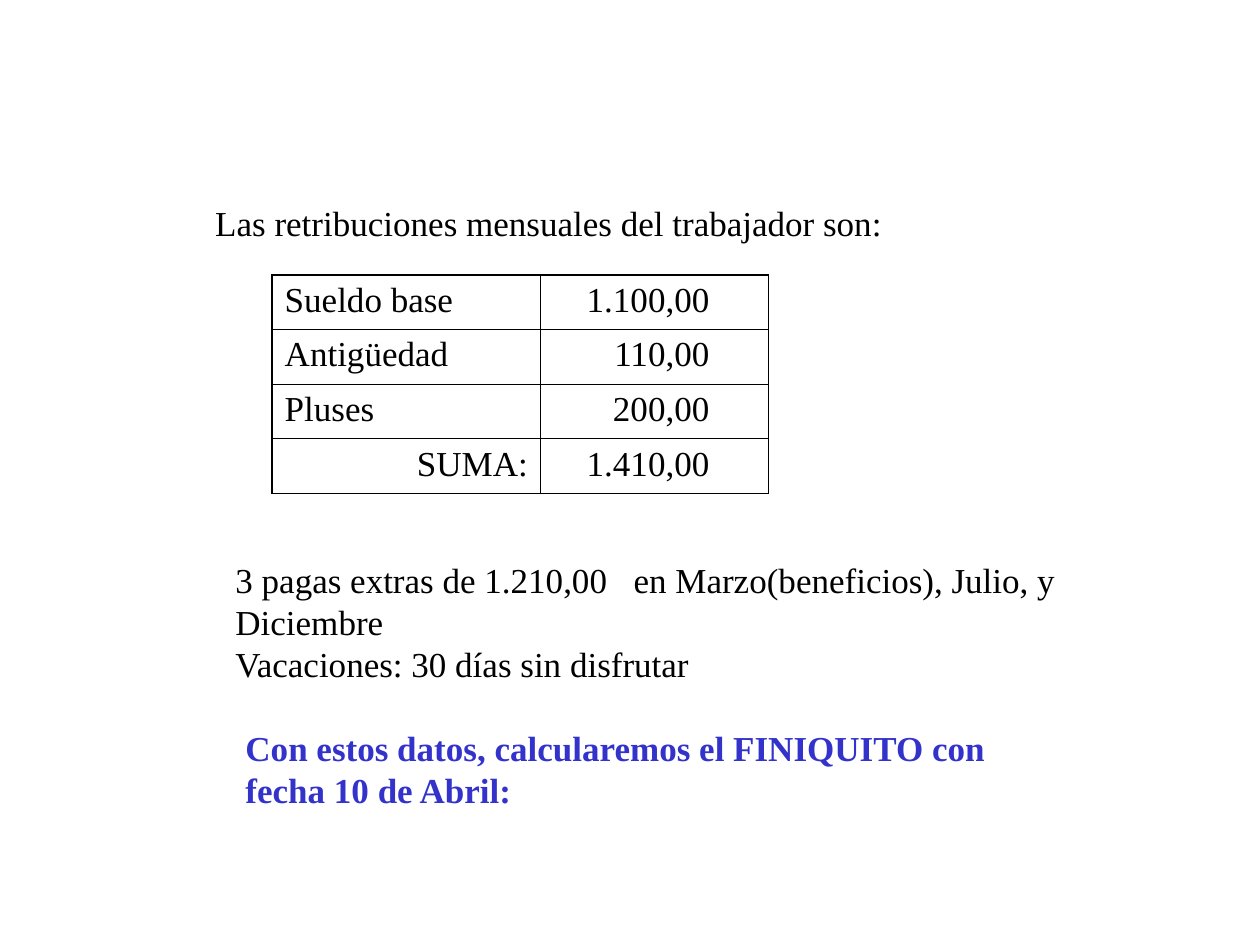
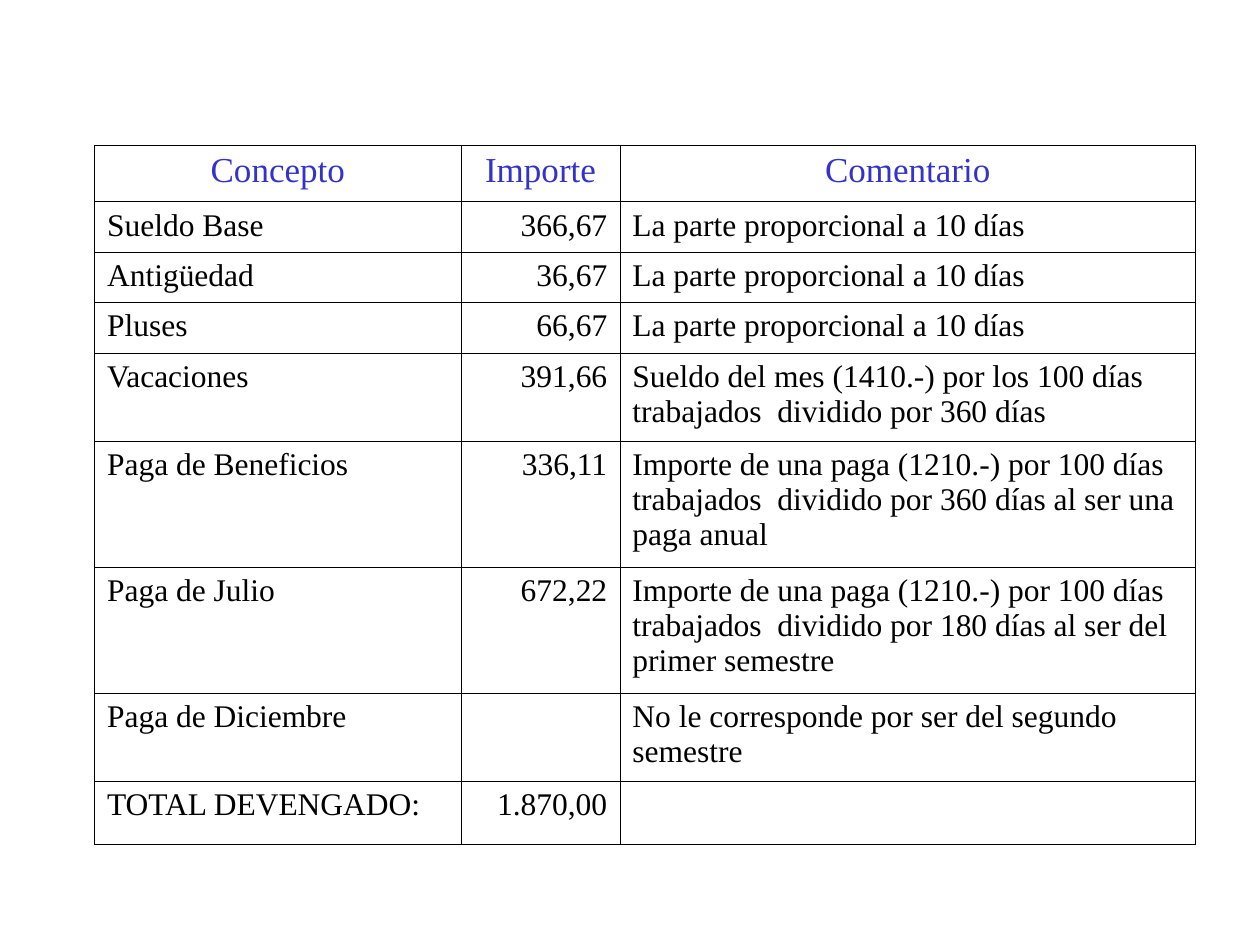
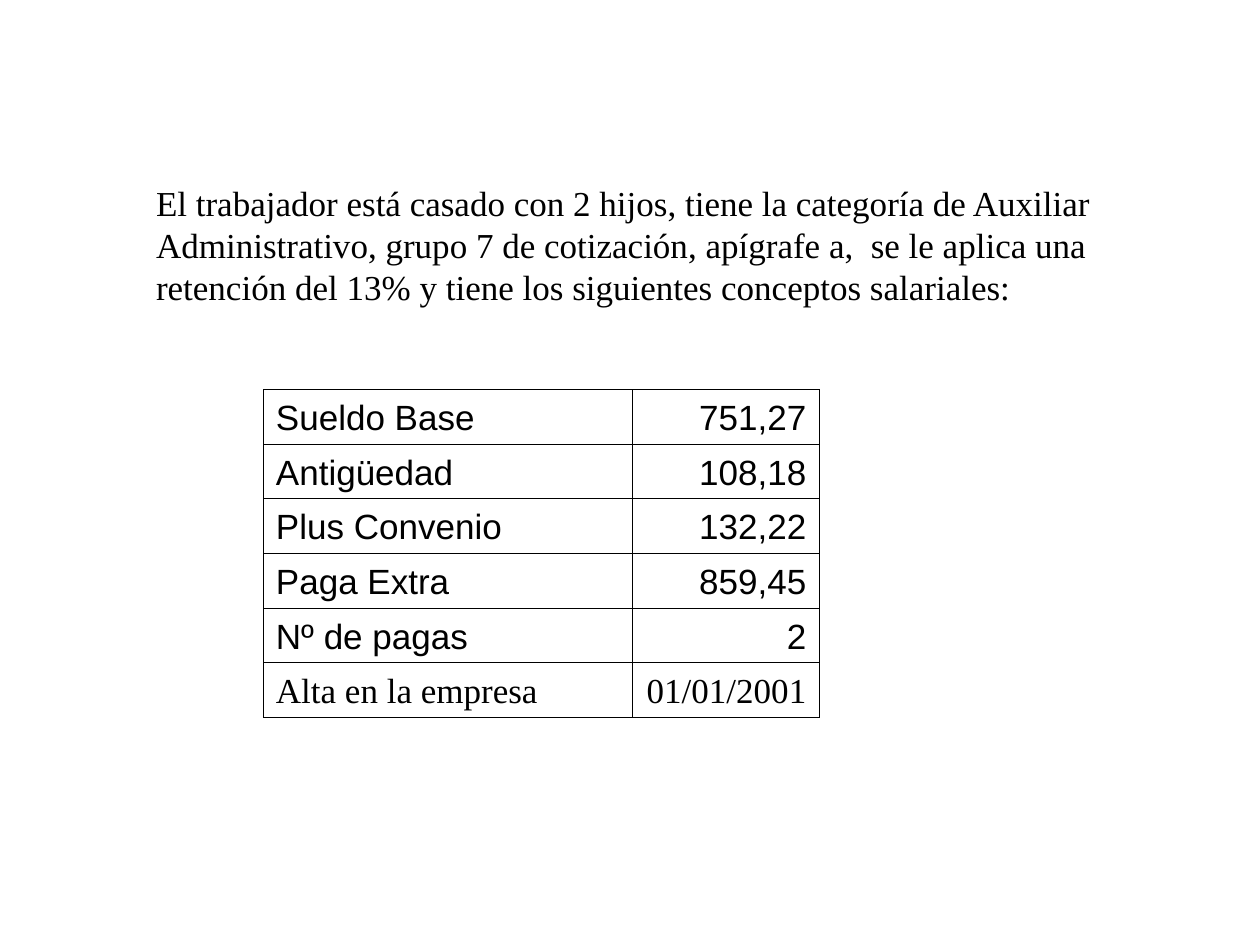
import pptx
import pptx.dml.color
import pptx.enum.text
import pptx.oxml.ns
import pptx.util
from lxml import etree

Inches = pptx.util.Inches
Pt = pptx.util.Pt
LEFT = pptx.enum.text.PP_ALIGN.LEFT
CENTER = pptx.enum.text.PP_ALIGN.CENTER
RIGHT = pptx.enum.text.PP_ALIGN.RIGHT
TOP = pptx.enum.text.MSO_ANCHOR.TOP
BOTTOM = pptx.enum.text.MSO_ANCHOR.BOTTOM

BLACK = pptx.dml.color.RGBColor(0x00, 0x00, 0x00)
BLUE = pptx.dml.color.RGBColor(0x33, 0x33, 0xCC)
SERIF = "Times New Roman"
SANS = "Arial"
BODY_SIZE = 20
DETAIL_SIZE = 18
THIN = 0.45
THICK = 1.08


def add_child(parent, tag, **attributes):
    child = etree.SubElement(parent, pptx.oxml.ns.qn(tag))
    for name, value in attributes.items():
        child.set(name, str(value))
    return child


def format_runs(p, size=BODY_SIZE, color=BLACK, font=SERIF, bold=False):
    for r in p.runs:
        r.font.size = Pt(size)
        r.font.name = font
        r.font.bold = bold
        r.font.color.rgb = color


def add_text(slide, left, top, width, height, text, color=BLACK, bold=False, tab=None):
    sp = slide.shapes.add_textbox(Inches(left), Inches(top), Inches(width), Inches(height))
    tf = sp.text_frame
    tf.word_wrap = True
    tf.text = text
    for p in tf.paragraphs:
        if tab and "\t" in p.text:
            stops = add_child(p._p.get_or_add_pPr(), "a:tabLst")
            add_child(stops, "a:tab", pos=Inches(tab), algn="l")
        p.line_spacing = 1.0
        format_runs(p, color=color, bold=bold)


def set_borders(cell, widths):
    tcPr = cell._tc.get_or_add_tcPr()
    for side, width in zip("LRTB", widths):
        line = add_child(tcPr, f"a:ln{side}", w=int(Pt(width)))
        fill = add_child(line, "a:solidFill")
        add_child(fill, "a:srgbClr", val=BLACK)


def add_grid(slide, left, top, col_widths, row_heights, rows, outer=THIN, anchor=TOP):
    last_row, last_col = len(rows) - 1, len(col_widths) - 1
    frame = slide.shapes.add_table(len(rows), len(col_widths), Inches(left), Inches(top),
                                   Inches(sum(col_widths)), Inches(sum(row_heights)))
    table = frame.table
    table.first_row = table.horz_banding = False
    for column, width in zip(table.columns, col_widths):
        column.width = Inches(width)
    for i, (row, height) in enumerate(zip(rows, row_heights)):
        table.rows[i].height = Inches(height)
        for j, text in enumerate(row):
            cell = table.cell(i, j)
            edges = (j == 0, j == last_col, i == 0, i == last_row)
            set_borders(cell, [outer if edge else THIN for edge in edges])
            cell.fill.background()
            cell.vertical_anchor = anchor
            cell.text_frame.text = text
    return table


def format_cell(cell, align=LEFT, **font):
    p = cell.text_frame.paragraphs[0]
    p.alignment = align
    format_runs(p, **font)


def build_salary(slide):
    add_text(slide, 1.61, 1.55, 7.09, 0.44, "Las retribuciones mensuales del trabajador son:")
    rows = [("Sueldo base", "1.100,00"), ("Antigüedad", "110,00"),
            ("Pluses", "200,00"), ("SUMA:", "1.410,00")]
    table = add_grid(slide, 2.16, 2.18, [2.13, 1.81], [0.43] * len(rows), rows, outer=THICK)
    for i, (concept, _) in enumerate(rows):
        format_cell(table.cell(i, 0), RIGHT if concept == "SUMA:" else LEFT)
        amount = table.cell(i, 1)
        amount.margin_right = Inches(0.47)
        format_cell(amount, RIGHT)
    add_text(slide, 1.77, 4.38, 7.09, 1.1,
             "3 pagas extras de 1.210,00\ten Marzo(beneficios), Julio, y Diciembre\n"
             "Vacaciones: 30 días sin disfrutar", tab=3.16)
    add_text(slide, 1.85, 5.72, 6.14, 0.77,
             "Con estos datos, calcularemos el FINIQUITO con fecha 10 de Abril:",
             color=BLUE, bold=True)


def build_settlement(slide):
    ten_days = "La parte proporcional a 10 días"
    extra_pay = "Importe de una paga (1210.-) por 100 días trabajados  dividido por "
    rows = [
        ("Concepto", "Importe", "Comentario"),
        ("Sueldo Base", "366,67", ten_days),
        ("Antigüedad", "36,67", ten_days),
        ("Pluses", "66,67", ten_days),
        ("Vacaciones", "391,66",
         "Sueldo del mes (1410.-) por los 100 días trabajados  dividido por 360 días"),
        ("Paga de Beneficios", "336,11", extra_pay + "360 días al ser una paga anual"),
        ("Paga de Julio", "672,22", extra_pay + "180 días al ser del primer semestre"),
        ("Paga de Diciembre", "", "No le corresponde por ser del segundo semestre"),
        ("TOTAL DEVENGADO:", "1.870,00", ""),
    ]
    heights = [0.45, 0.4, 0.4, 0.4, 0.7, 1, 1, 0.7, 0.5]
    table = add_grid(slide, 0.75, 1.15, [2.91, 1.26, 4.57], heights, rows)
    for j, align in enumerate((LEFT, RIGHT, LEFT)):
        format_cell(table.cell(0, j), CENTER, color=BLUE)
        for i in range(1, len(rows)):
            format_cell(table.cell(i, j), align, size=DETAIL_SIZE)


def build_worker(slide):
    add_text(slide, 1.14, 1.39, 7.64, 1.1,
             "El trabajador está casado con 2 hijos, tiene la categoría de Auxiliar "
             "Administrativo, grupo 7 de cotización, apígrafe a,  se le aplica una "
             "retención del 13% y tiene los siguientes conceptos salariales:")
    rows = [("Sueldo Base", "751,27"), ("Antigüedad", "108,18"),
            ("Plus Convenio", "132,22"), ("Paga Extra", "859,45"),
            ("Nº de pagas", "2"), ("Alta en la empresa", "01/01/2001")]
    table = add_grid(slide, 2.09, 3.09, [2.93, 1.48], [0.43] * len(rows), rows, anchor=BOTTOM)
    for i in range(len(rows)):
        font = SERIF if i == len(rows) - 1 else SANS
        for j, align in enumerate((LEFT, RIGHT)):
            format_cell(table.cell(i, j), align, font=font)


def main():
    prs = pptx.Presentation()
    prs.slide_width, prs.slide_height = Inches(10), Inches(7.5)
    for build in (build_salary, build_settlement, build_worker):
        build(prs.slides.add_slide(prs.slide_layouts[6]))
    prs.save("out.pptx")


if __name__ == "__main__":
    main()
